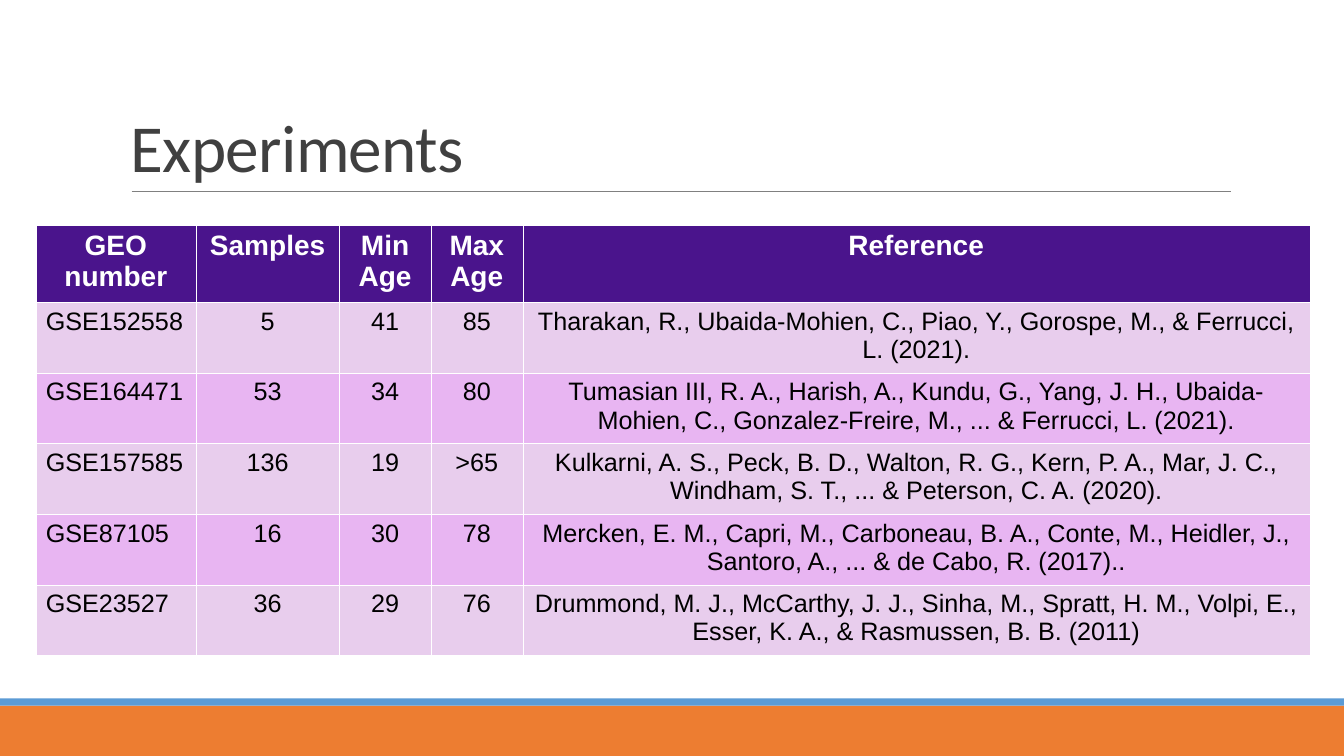
"""Builds the Experiments slide: a title above a table of GEO data sets."""
from lxml.etree import SubElement
from pptx import Presentation
from pptx.dml.color import RGBColor
from pptx.enum.shapes import MSO_CONNECTOR, MSO_SHAPE
from pptx.enum.text import MSO_ANCHOR, PP_ALIGN
from pptx.oxml import parse_xml
from pptx.oxml.ns import nsdecls, qn
from pptx.util import Cm, Pt

WHITE = RGBColor(0xFF, 0xFF, 0xFF)
BLACK = RGBColor(0x00, 0x00, 0x00)
CHARCOAL = RGBColor(0x40, 0x40, 0x40)
GRAY = RGBColor(0x80, 0x80, 0x80)
ORANGE = RGBColor(0xED, 0x7D, 0x31)
BLUE = RGBColor(0x5B, 0x9B, 0xD5)
PURPLE = RGBColor(0x4A, 0x14, 0x8C)
PALE_LILAC = RGBColor(0xE8, 0xCD, 0xED)
LILAC = RGBColor(0xE8, 0xB5, 0xF2)

HEADERS = ("GEO number", "Samples", "Min Age", "Max Age", "Reference")
EXPERIMENTS = (
    ("GSE152558", "5", "41", "85",
     "Tharakan, R., Ubaida-Mohien, C., Piao, Y., Gorospe, M., & Ferrucci, L. (2021)."),
    ("GSE164471", "53", "34", "80",
     "Tumasian III, R. A., Harish, A., Kundu, G., Yang, J. H., Ubaida-Mohien, C., "
     "Gonzalez-Freire, M., ... & Ferrucci, L. (2021)."),
    ("GSE157585", "136", "19", ">65",
     "Kulkarni, A. S., Peck, B. D., Walton, R. G., Kern, P. A., Mar, J. C., "
     "Windham, S. T., ... & Peterson, C. A. (2020)."),
    ("GSE87105", "16", "30", "78",
     "Mercken, E. M., Capri, M., Carboneau, B. A., Conte, M., Heidler, J., "
     "Santoro, A., ... & de Cabo, R. (2017).."),
    ("GSE23527", "36", "29", "76",
     "Drummond, M. J., McCarthy, J. J., Sinha, M., Spratt, H. M., Volpi, E., "
     "Esser, K. A., & Rasmussen, B. B. (2011)"),
)
COLUMN_WIDTHS = (4.04, 3.61, 2.31, 2.31, 19.84)
HEADER_HEIGHT, ROW_HEIGHT = 1.8, 1.68


def write(frame, text, size, color, font="Arial", bold=False, align=PP_ALIGN.LEFT):
    """Put one formatted run in the frame and return its paragraph and span."""
    para = frame.paragraphs[0]
    para.alignment = align
    span = para.add_run()
    span.text = text
    span.font.name = font
    span.font.size = Pt(size)
    span.font.bold = bold
    span.font.color.rgb = color
    return para, span


deck = Presentation()
deck.slide_width, deck.slide_height = Cm(33.87), Cm(19.05)
page = deck.slides.add_slide(deck.slide_layouts[6])

for top, height, color in ((17.78, 1.27, ORANGE), (17.6, 0.18, BLUE)):
    band = page.shapes.add_shape(
        MSO_SHAPE.RECTANGLE, Cm(0), Cm(top), deck.slide_width, Cm(height))
    band.shadow.inherit = False
    band.fill.solid()
    band.fill.fore_color.rgb = color
    band.line.fill.background()

rule = page.shapes.add_connector(
    MSO_CONNECTOR.STRAIGHT, Cm(3.32), Cm(4.82), Cm(31.01), Cm(4.82))
rule.line.color.rgb = GRAY
rule.line.width = Pt(0.5)
SubElement(rule._element.spPr, qn("a:effectLst"))

title = page.shapes.add_textbox(Cm(3.05), Cm(0.78), Cm(27.94), Cm(4.04))
title.text_frame.word_wrap = True
title.text_frame.vertical_anchor = MSO_ANCHOR.BOTTOM
para, span = write(title.text_frame, "Experiments", 48, CHARCOAL, font="Calibri")
para.line_spacing = 0.85
span.font._element.set("spc", "-50")

table = page.shapes.add_table(
    len(EXPERIMENTS) + 1, len(HEADERS), Cm(0.9), Cm(5.67), Cm(sum(COLUMN_WIDTHS)),
    Cm(HEADER_HEIGHT + ROW_HEIGHT * len(EXPERIMENTS))).table
for column, width in zip(table.columns, COLUMN_WIDTHS):
    column.width = Cm(width)

for row, entries in enumerate((HEADERS, *EXPERIMENTS)):
    is_header = row == 0
    table.rows[row].height = Cm(HEADER_HEIGHT if is_header else ROW_HEIGHT)
    shade = PURPLE if is_header else PALE_LILAC if row % 2 else LILAC
    for column, text in enumerate(entries):
        cell = table.cell(row, column)
        centred = is_header or column > 0
        write(cell.text_frame, text, 20 if is_header else 18,
              WHITE if is_header else BLACK, bold=is_header,
              align=PP_ALIGN.CENTER if centred else PP_ALIGN.LEFT)
        properties = cell._tc.get_or_add_tcPr()
        for side in ("lnL", "lnR", "lnT", "lnB"):
            properties.append(parse_xml(
                f'<a:{side} {nsdecls("a")} w="{Pt(0.06)}"><a:solidFill>'
                f'<a:srgbClr val="{WHITE}"/></a:solidFill></a:{side}>'))
        cell.fill.solid()
        cell.fill.fore_color.rgb = shade

deck.save("out.pptx")
